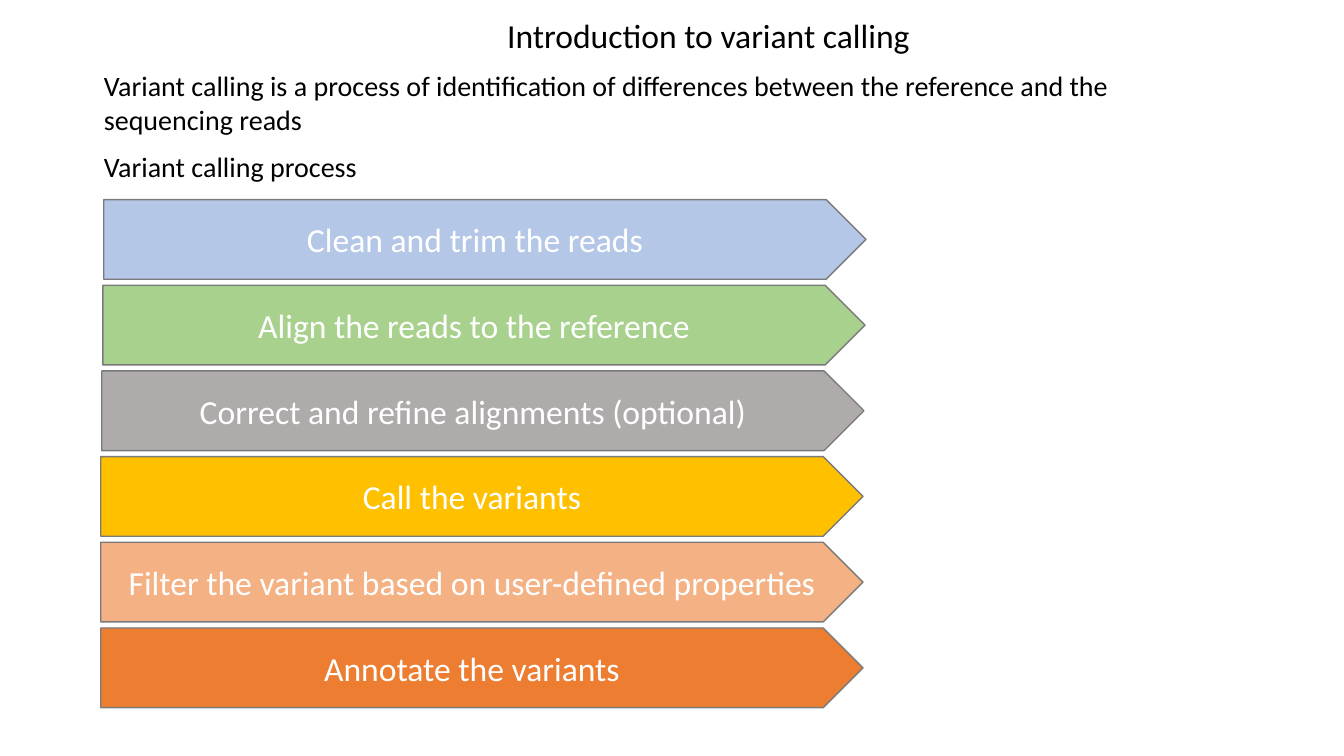
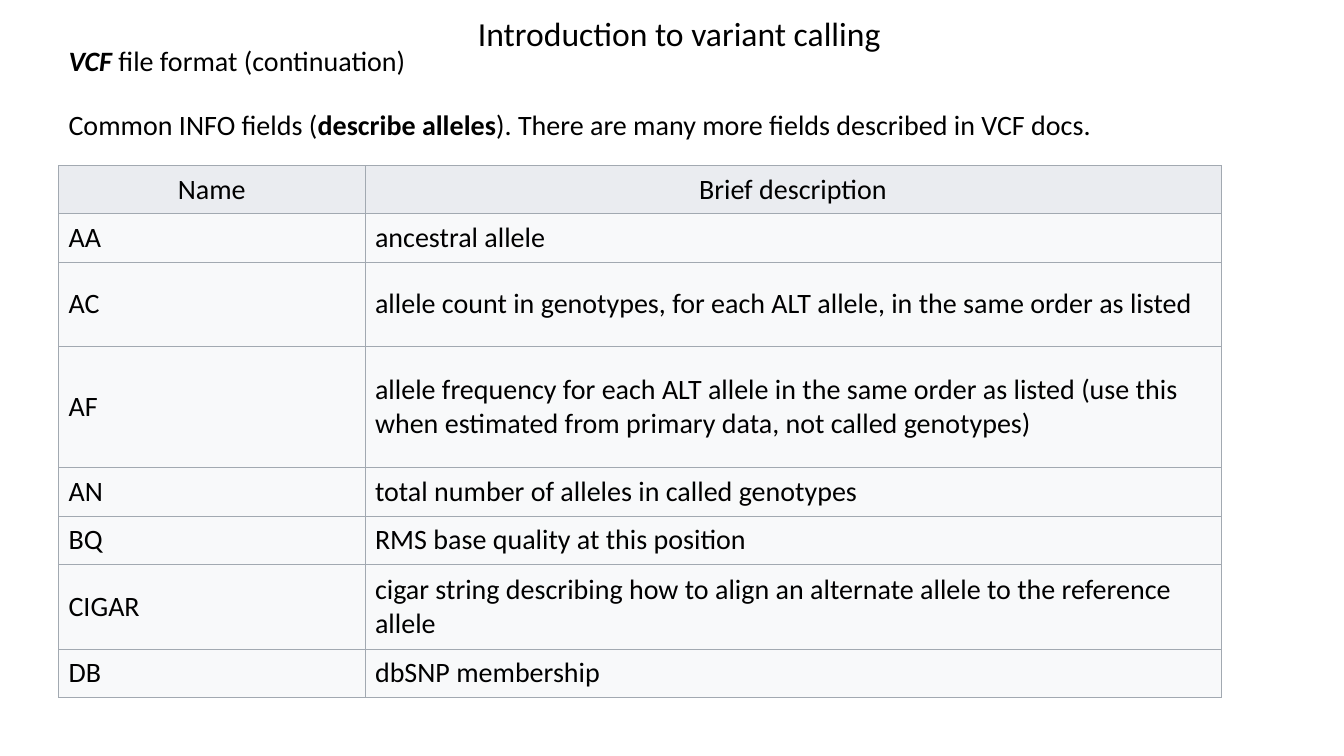
from lxml.etree import SubElement
from pptx import Presentation
from pptx.dml.color import RGBColor
from pptx.enum.shapes import MSO_SHAPE as Shape
from pptx.enum.text import MSO_ANCHOR as Anchor, MSO_AUTO_SIZE as AutoSize, PP_ALIGN as Align
from pptx.oxml.ns import qn
from pptx.util import Emu, Pt

FONT = "Calibri"
BLACK = RGBColor(0x00, 0x00, 0x00)
WHITE = RGBColor(0xFF, 0xFF, 0xFF)
OUTLINE = RGBColor(0x7A, 0x7A, 0x7A)
HEADER_FILL = RGBColor(0xEA, 0xEC, 0xF0)
CELL_FILL = RGBColor(0xF8, 0xF9, 0xFA)
CELL_BORDER = RGBColor(0xA2, 0xA9, 0xB1)
BLUE = RGBColor(0xB4, 0xC7, 0xE7)
GREEN = RGBColor(0xA9, 0xD1, 0x8E)
GREY = RGBColor(0xAF, 0xAB, 0xAB)
GOLD = RGBColor(0xFF, 0xC0, 0x00)
PEACH = RGBColor(0xF4, 0xB1, 0x83)
ORANGE = RGBColor(0xED, 0x7D, 0x31)

TITLE = "Introduction to variant calling"
TITLE_FORMAT = {"name": FONT, "size": Pt(24)}
BODY_FORMAT = {"name": FONT, "size": Pt(20)}
BOLD = {"bold": True}
BOLD_ITALIC = {"bold": True, "italic": True}

# Each paragraph is a list of (text, extra format) spans.
PROCESS_TEXT = [
    [("Variant calling is a process of identification of differences "
      "between the reference and the sequencing reads", {})],
    [("Variant calling process", {})],
]
STEPS = [
    ("Clean and trim the reads", BLUE),
    ("Align the reads to the reference", GREEN),
    ("Correct and refine alignments (optional)", GREY),
    ("Call the variants", GOLD),
    ("Filter the variant based on user-defined properties", PEACH),
    ("Annotate the variants", ORANGE),
]
FIELDS_TEXT = [
    [("VCF", BOLD_ITALIC), (" file format (continuation)", {})],
    [("Common INFO fields (", {}), ("describe alleles", BOLD),
     ("). There are many more fields described in VCF docs.", {})],
]
COLUMN_WIDTHS = [304, 849]
# (row height, name, description)
FIELD_ROWS = [
    (48, "Name", "Brief description"),
    (48, "AA", "ancestral allele"),
    (84, "AC", "allele count in genotypes, for each ALT allele, in the same order as listed"),
    (120, "AF", "allele frequency for each ALT allele in the same order as listed "
                "(use this when estimated from primary data, not called genotypes)"),
    (48, "AN", "total number of alleles in called genotypes"),
    (48, "BQ", "RMS base quality at this position"),
    (84, "CIGAR", "cigar string describing how to align an alternate allele to the reference allele"),
    (48, "DB", "dbSNP membership"),
]


def px(length):
    """Convert px, 100 to the inch, into EMU."""
    return Emu(length * 9144)


def place(shape, left, top, width, height):
    shape.left, shape.top = px(left), px(top)
    shape.width, shape.height = px(width), px(height)


def add_span(para, text, color, style):
    span = para.add_run()
    span.text = text
    span.font.color.rgb = color
    for name, value in style.items():
        setattr(span.font, name, value)


def add_page(deck, title_at, body_at, paragraphs, last_spacing=1):
    page = deck.slides.add_slide(deck.slide_layouts[1])
    title, body = page.placeholders
    for box, at in ((title, title_at), (body, body_at)):
        place(box, *at)
        box.text_frame.auto_size = AutoSize.NONE
        box.text_frame.vertical_anchor = Anchor.TOP
    title.text_frame.word_wrap = False
    heading = title.text_frame.paragraphs[0]
    heading.alignment = Align.LEFT
    add_span(heading, TITLE, BLACK, TITLE_FORMAT)

    frame = body.text_frame
    for index, spans in enumerate(paragraphs):
        para = frame.add_paragraph() if index else frame.paragraphs[0]
        para.space_before = Pt(10 if index else 0)
        para.line_spacing = last_spacing if index else 1
        properties = para._p.get_or_add_pPr()
        properties.set("marL", "0")
        properties.set("indent", "0")
        SubElement(properties, qn("a:buNone"))
        for text, extra in spans:
            add_span(para, text, BLACK, BODY_FORMAT | extra)
    return page


def add_step(page, index, text, color):
    arrow = page.shapes.add_shape(Shape.PENTAGON, 0, 0, 0, 0)
    place(arrow, max(103 - index, 100), 198 + 85 * index, 756, 79)
    arrow.shadow.inherit = False
    arrow.fill.solid()
    arrow.fill.fore_color.rgb = color
    arrow.line.color.rgb = OUTLINE
    arrow.line.width = Pt(1)
    frame = arrow.text_frame
    frame.word_wrap = True
    frame.vertical_anchor = Anchor.MIDDLE
    para = frame.paragraphs[0]
    para.alignment = Align.CENTER
    add_span(para, text, WHITE, TITLE_FORMAT)


def add_borders(cell):
    properties = cell._tc.get_or_add_tcPr()
    for position, side in enumerate(("lnL", "lnR", "lnT", "lnB")):
        line = SubElement(properties, qn(f"a:{side}"), w=str(Pt(0.5)))
        fill = SubElement(line, qn("a:solidFill"))
        SubElement(fill, qn("a:srgbClr"), val=str(CELL_BORDER))
        properties.insert(position, line)


def add_field_table(page):
    height = sum(row[0] for row in FIELD_ROWS)
    table = page.shapes.add_table(
        len(FIELD_ROWS), len(COLUMN_WIDTHS),
        px(58), px(164), px(sum(COLUMN_WIDTHS)), px(height)).table
    table.first_row = table.horz_banding = False
    for column, width in zip(table.columns, COLUMN_WIDTHS):
        column.width = px(width)
    for index, (row, (row_height, *texts)) in enumerate(zip(table.rows, FIELD_ROWS)):
        row.height = px(row_height)
        for cell, text in zip(row.cells, texts):
            cell.vertical_anchor = Anchor.MIDDLE
            cell.fill.solid()
            cell.fill.fore_color.rgb = CELL_FILL if index else HEADER_FILL
            add_borders(cell)
            para = cell.text_frame.paragraphs[0]
            para.alignment = Align.LEFT if index else Align.CENTER
            add_span(para, text, BLACK, BODY_FORMAT)


def main():
    deck = Presentation()
    deck.slide_width, deck.slide_height = px(1333), px(750)

    process = add_page(deck, (493, 10, 423, 81), (93, 63, 1146, 125), PROCESS_TEXT)
    for index, (text, color) in enumerate(STEPS):
        add_step(process, index, text, color)

    fields = add_page(deck, (464, 8, 423, 81), (58, 38, 1219, 203), FIELDS_TEXT, 1.5)
    add_field_table(fields)

    deck.save("out.pptx")


if __name__ == "__main__":
    main()
